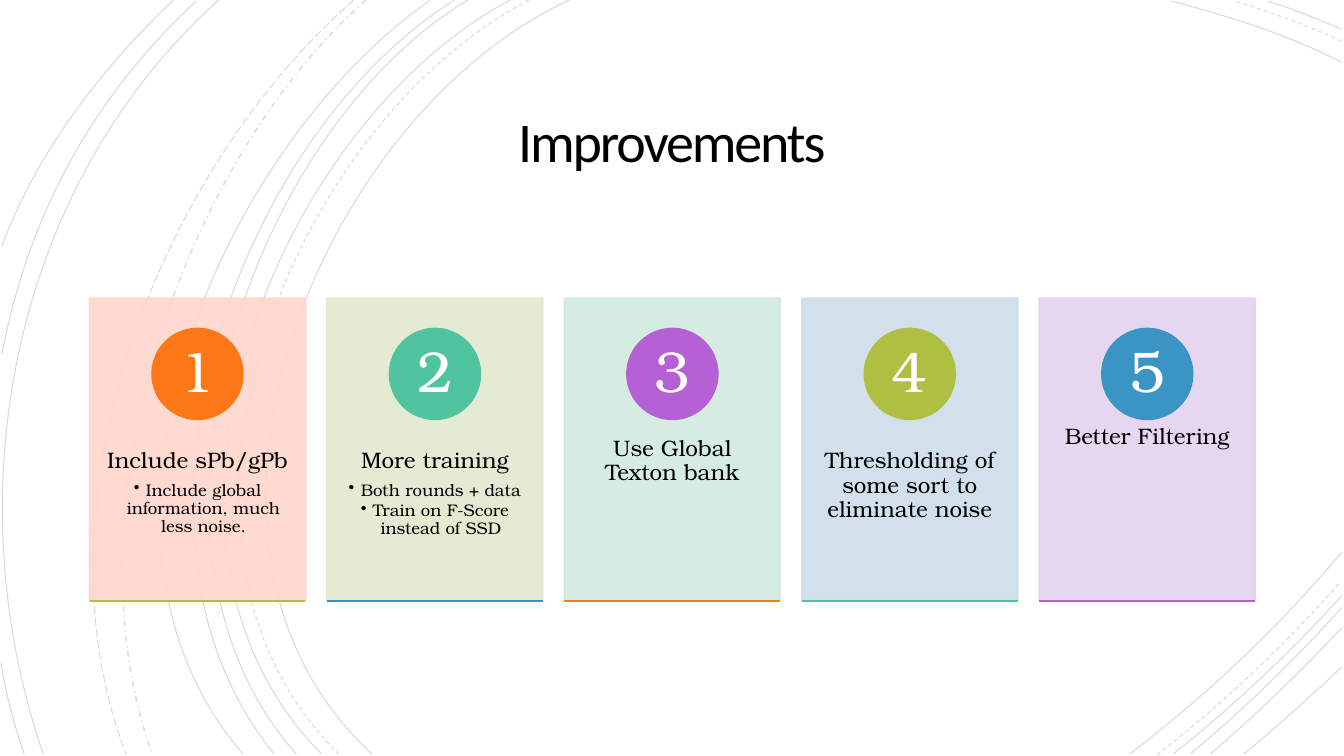
from lxml.etree import SubElement
from pptx import Presentation
from pptx.dml.color import RGBColor
from pptx.enum.dml import MSO_LINE
from pptx.enum.shapes import MSO_CONNECTOR, MSO_SHAPE
from pptx.enum.text import MSO_ANCHOR, PP_ALIGN
from pptx.oxml.ns import qn
from pptx.util import Pt

TITLE = "Improvements"
TITLE_FONT, BODY_FONT = "Calibri", "TeX Gyre Bonum"

CARDS = [
    ("Include sPb/gPb", ["Include global information, much less noise."],
     "FED6CC", "FC7715", "AFBF41"),
    ("More training", ["Both rounds + data", "Train on F-Score instead of SSD"],
     "E3E8CF", "50C49F", "3B95C4"),
    ("Use Global Texton bank", [], "D0EADF", "B560D4", "FC7715"),
    ("Thresholding of some sort to eliminate noise", [],
     "CEDDEA", "AFBF41", "50C49F"),
    ("Better Filtering", [], "E5D2EF", "3B95C4", "B560D4"),
]

CURVE_UNIT = Pt(0.72)
CURVES = {
    (MSO_LINE.SOLID, 0.75): [
        [(565, 0), (315, 115), (143, 540), (369, 748)],
        [(1331, 62), (1278, 34), (1218, 16), (1162, 1)],
        [(1121, 748), (1197, 690), (1269, 622), (1331, 548)],
        [(506, 0), (270, 127), (110, 537), (319, 748)],
        [(1331, 29), (1307, 19), (1283, 9), (1258, 1)],
        [(1164, 748), (1223, 701), (1280, 648), (1331, 591)],
        [(464, 0), (244, 133), (110, 541), (294, 748)],
        [(1181, 748), (1234, 704), (1284, 655), (1331, 603)],
        [(451, 0), (231, 138), (97, 533), (272, 748)],
        [(1201, 748), (1246, 709), (1290, 667), (1331, 623)],
        [(427, 0), (217, 147), (53, 529), (241, 748)],
        [(1234, 748), (1267, 721), (1299, 692), (1331, 662)],
        [(217, 0), (11, 185), (-46, 490), (43, 748)],
        [(195, 1), (92, 96), (28, 214), (2, 351)],
        [(1, 658), (6, 689), (14, 719), (24, 748)],
        [(172, 0), (100, 69), (37, 150), (2, 244)],
    ],
    (MSO_LINE.DASH, 0.75): [
        [(525, 0), (285, 125), (123, 537), (336, 748)],
        [(1331, 41), (1297, 25), (1260, 12), (1225, 1)],
        [(1148, 749), (1213, 698), (1275, 640), (1330, 577)],
    ],
    (MSO_LINE.DASH_DOT, 1): [[(363, 0), (176, 166), (65, 509), (151, 748)]],
    (MSO_LINE.LONG_DASH, 0.75): [[(351, 0), (157, 169), (29, 499), (125, 748)]],
}

CARD_LEFT, CARD_TOP, CARD_W, CARD_H, CARD_PITCH = 64, 213.1, 154.2, 216, 169.6
TEXT_TOP, TEXT_H = 295.2, 129.6
CIRCLE_TOP, CIRCLE_D = 234.7, 64.8


def paint(color_format, color, opacity=100):
    color_format.rgb = RGBColor.from_string(color)
    if opacity < 100:
        clr = color_format._xFill.find(qn("a:srgbClr"))
        SubElement(clr, qn("a:alpha")).set("val", str(opacity * 1000))


def draw_line(line, color, width, opacity=100):
    line.width = Pt(width)
    line.fill.solid()
    paint(line.fill.fore_color, color, opacity)


def add_curve(s, points, dash, width):
    builder = s.shapes.build_freeform(*points[0], scale=CURVE_UNIT)
    builder.add_line_segments(points[1:], close=False)
    sp = builder.convert_to_shape()
    sp.shadow.inherit = False
    sp.fill.background()
    draw_line(sp.line, "000000", width, 15)
    sp.line.dash_style = dash
    outline = sp.element.find(".//" + qn("a:path"))
    segments = outline.findall(qn("a:lnTo"))
    bezier = SubElement(outline, qn("a:cubicBezTo"))
    for segment in segments:
        bezier.append(segment[0])
        outline.remove(segment)


def add_solid(s, kind, x, y, w, h, color, opacity=100):
    sp = s.shapes.add_shape(kind, Pt(x), Pt(y), Pt(w), Pt(h))
    sp.shadow.inherit = False
    sp.fill.solid()
    paint(sp.fill.fore_color, color, opacity)
    draw_line(sp.line, color, 1.25, opacity)
    return sp


def set_frame(tf, side, end, anchor):
    tf.word_wrap = True
    tf.margin_left = tf.margin_right = Pt(side)
    tf.margin_top = tf.margin_bottom = Pt(end)
    tf.vertical_anchor = anchor


def write(p, text, size, color="000000", font=BODY_FONT, spacing=0.9, after=0):
    p.alignment = PP_ALIGN.CENTER
    p.line_spacing = spacing
    p.space_after = Pt(after)
    r = p.add_run()
    r.text = text
    r.font.name = font
    r.font.size = Pt(size)
    paint(r.font.color, color)
    return r


def add_bullet(p):
    p.level = 1
    pPr = p._p.get_or_add_pPr()
    pPr.set("marL", str(Pt(8.64)))
    pPr.set("indent", str(-Pt(8.64)))
    SubElement(pPr, qn("a:buChar")).set("char", "•")


def add_card(s, index, heading, points, tint, circle_color, rule_color):
    x = CARD_LEFT + index * CARD_PITCH
    add_solid(s, MSO_SHAPE.RECTANGLE, x, CARD_TOP, CARD_W, CARD_H, tint, 90)

    box = s.shapes.add_textbox(Pt(x), Pt(TEXT_TOP), Pt(CARD_W), Pt(TEXT_H))
    tf = box.text_frame
    set_frame(tf, 12, 26, MSO_ANCHOR.TOP)
    write(tf.paragraphs[0], heading, 16, after=5.6)
    for point in points:
        p = tf.add_paragraph()
        write(p, point, 12, after=1.8)
        add_bullet(p)

    circle = add_solid(s, MSO_SHAPE.OVAL, x + (CARD_W - CIRCLE_D) / 2,
                       CIRCLE_TOP, CIRCLE_D, CIRCLE_D, circle_color)
    set_frame(circle.text_frame, 5, 1, MSO_ANCHOR.MIDDLE)
    write(circle.text_frame.paragraphs[0], str(index + 1), 41, "FFFFFF")

    bottom = CARD_TOP + CARD_H
    rule = s.shapes.add_connector(MSO_CONNECTOR.STRAIGHT, Pt(x), Pt(bottom),
                                  Pt(x + CARD_W), Pt(bottom))
    draw_line(rule.line, rule_color, 1.25)
    SubElement(rule.element.spPr, qn("a:effectLst"))


def main():
    prs = Presentation()
    prs.slide_width, prs.slide_height = Pt(960), Pt(540)
    s = prs.slides.add_slide(prs.slide_layouts[6])

    for (dash, width), curves in CURVES.items():
        for points in curves:
            add_curve(s, points, dash, width)

    title = s.shapes.add_textbox(Pt(138.2), Pt(62.6), Pt(683.3), Pt(82.8))
    set_frame(title.text_frame, 18, 18, MSO_ANCHOR.MIDDLE)
    r = write(title.text_frame.paragraphs[0], TITLE, 40, font=TITLE_FONT,
              spacing=0.85)
    r.font._element.set("spc", "-150")

    for index, card in enumerate(CARDS):
        add_card(s, index, *card)

    prs.save("out.pptx")


if __name__ == "__main__":
    main()
